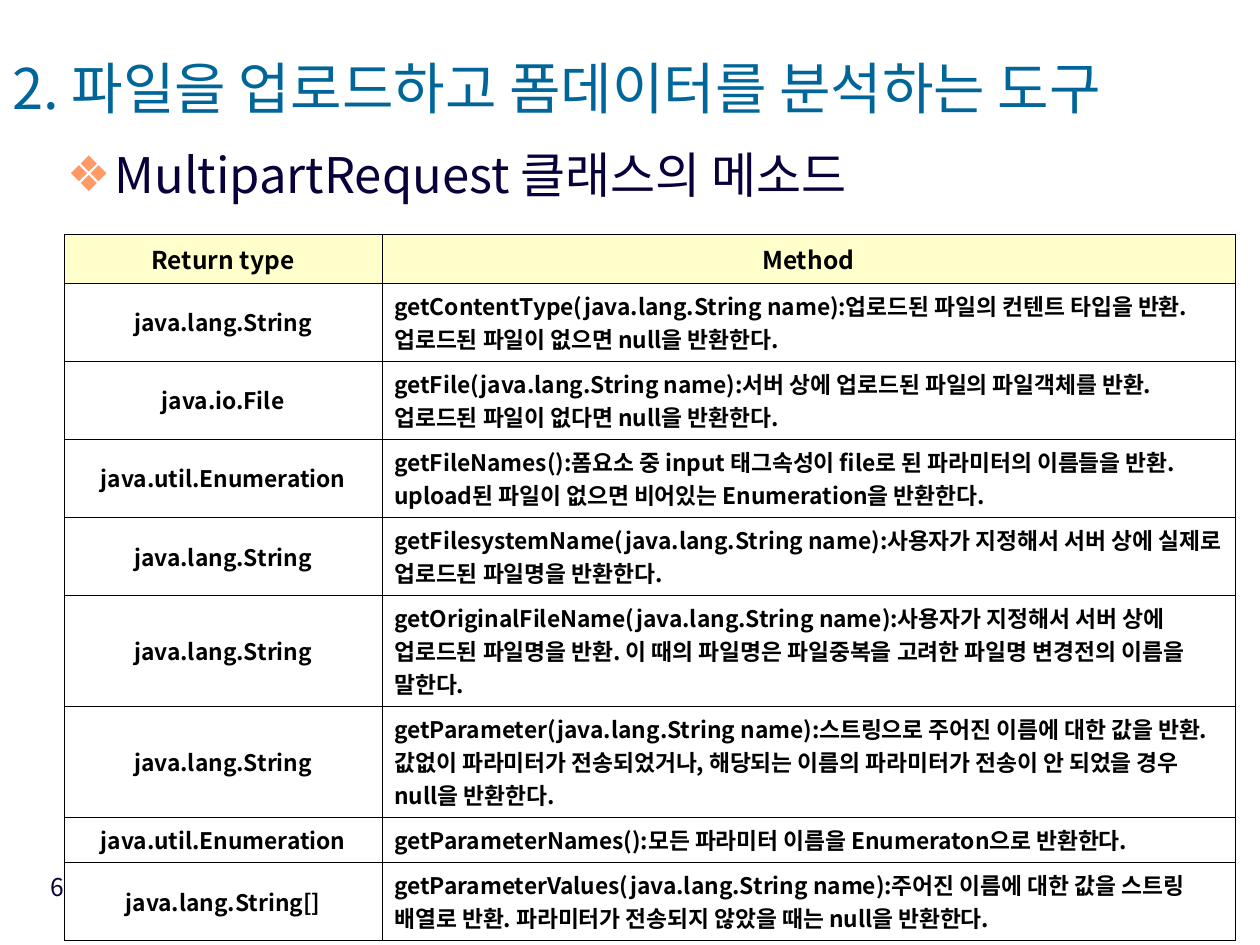
from lxml.etree import SubElement
from pptx import Presentation
from pptx.dml.color import RGBColor
from pptx.enum.text import MSO_ANCHOR, MSO_AUTO_SIZE, PP_ALIGN
from pptx.oxml.ns import qn
from pptx.util import Inches, Pt

FONT = "Noto Sans CJK KR"
COLORS = {
    "title": "006699", "text": "08003A", "bullet": "FF9966", "black": "000000",
    "name": "010000", "head": "FFFFCC", "white": "FFFFFF",
}
ARG = "(java.lang.String name):"
METHODS = [
    ("java.lang.String", "getContentType",
     ARG + "업로드된 파일의 컨텐트 타입을 반환. 업로드된 파일이 없으면 null을 반환한다."),
    ("java.io.File", "getFile",
     ARG + "서버 상에 업로드된 파일의 파일객체를 반환. 업로드된 파일이 없다면 null을 반환한다."),
    ("java.util.Enumeration", "getFileNames",
     "():폼요소 중 input 태그속성이 file로 된 파라미터의 이름들을 반환. "
     "upload된 파일이 없으면 비어있는 Enumeration을 반환한다."),
    ("java.lang.String", "getFilesystemName",
     ARG + "사용자가 지정해서 서버 상에 실제로 업로드된 파일명을 반환한다."),
    ("java.lang.String", "getOriginalFileName",
     ARG + "사용자가 지정해서 서버 상에 업로드된 파일명을 반환. "
     "이 때의 파일명은 파일중복을 고려한 파일명 변경전의 이름을 말한다."),
    ("java.lang.String", "getParameter",
     ARG + "스트링으로 주어진 이름에 대한 값을 반환. 값없이 파라미터가 전송되었거나, "
     "해당되는 이름의 파라미터가 전송이 안 되었을 경우 null을 반환한다."),
    ("java.util.Enumeration", "getParameterNames",
     "():모든 파라미터 이름을 Enumeraton으로 반환한다."),
    ("java.lang.String[]", "getParameterValues",
     ARG + "주어진 이름에 대한 값을 스트링 배열로 반환. "
     "파라미터가 전송되지 않았을 때는 null을 반환한다."),
]
WIDTHS = [2.52, 6.77]
HEIGHTS = [0.37, 0.62, 0.62, 0.62, 0.62, 0.88, 0.88, 0.36, 0.62]


def write(para, text, size=13, color="black", bold=False, align=PP_ALIGN.LEFT, line=None):
    para.alignment = align
    para.space_before = Pt(0)
    if line:
        para.line_spacing = line
    run = para.add_run()
    run.text = text
    font = run.font
    font.name, font.size, font.bold = FONT, Pt(size), bold
    font.color.rgb = RGBColor.from_string(COLORS[color])
    SubElement(font._element, qn("a:ea"), typeface=FONT)


def paint(props, color):
    fill = SubElement(props, qn("a:solidFill"))
    SubElement(fill, qn("a:srgbClr"), val=COLORS[color])


class Deck:
    def __init__(self):
        self.file = Presentation()
        self.file.slide_width, self.file.slide_height = Inches(10), Inches(7.5)
        self.slide = self.file.slides.add_slide(self.file.slide_layouts[1])

    def place(self, shape, box, anchor):
        shape.left, shape.top, shape.width, shape.height = map(Inches, box)
        frame = shape.text_frame
        frame.word_wrap = True
        frame.auto_size = MSO_AUTO_SIZE.NONE
        frame.vertical_anchor = anchor
        return frame.paragraphs[0]

    def title(self, text, box):
        para = self.place(self.slide.shapes.title, box, MSO_ANCHOR.MIDDLE)
        write(para, text, size=32, color="title", line=0.7)

    def body(self, text, box):
        para = self.place(self.slide.placeholders[1], box, MSO_ANCHOR.TOP)
        props = para._p.get_or_add_pPr()
        props.set("marL", str(Inches(0.38)))
        props.set("indent", str(-Inches(0.38)))
        tint = SubElement(props, qn("a:buClr"))
        SubElement(tint, qn("a:srgbClr"), val=COLORS["bullet"])
        SubElement(props, qn("a:buChar"), char="❖")
        write(para, text, size=28, color="text", line=0.9)

    def number(self, text, box):
        shape = self.slide.shapes.add_textbox(*map(Inches, box))
        para = self.place(shape, box, MSO_ANCHOR.TOP)
        write(para, text, size=14, color="text", align=PP_ALIGN.RIGHT)

    def cell(self, cell, fill):
        cell.vertical_anchor = MSO_ANCHOR.MIDDLE
        props = cell._tc.get_or_add_tcPr()
        for side in ("lnL", "lnR", "lnT", "lnB"):
            paint(SubElement(props, qn("a:" + side), w=str(Pt(0.06))), "black")
        cell.fill.solid()
        cell.fill.fore_color.rgb = RGBColor.from_string(COLORS[fill])
        return cell.text_frame.paragraphs[0]

    def table(self, heads, rows, left, top):
        size = Inches(sum(WIDTHS)), Inches(sum(HEIGHTS))
        grid = self.slide.shapes.add_table(
            len(HEIGHTS), len(WIDTHS), Inches(left), Inches(top), *size).table
        for col, width in zip(grid.columns, WIDTHS):
            col.width = Inches(width)
        for row, height in zip(grid.rows, HEIGHTS):
            row.height = Inches(height)
        for col, head in enumerate(heads):
            para = self.cell(grid.cell(0, col), "head")
            write(para, head, size=14, bold=True, align=PP_ALIGN.CENTER)
        for row, (kind, name, note) in enumerate(rows, 1):
            para = self.cell(grid.cell(row, 0), "white")
            write(para, kind, bold=True, align=PP_ALIGN.CENTER)
            para = self.cell(grid.cell(row, 1), "white")
            write(para, name, color="name", bold=True)
            write(para, note, bold=True)


def main():
    deck = Deck()
    deck.number("6", (0.14, 6.87, 0.47, 0.52))
    deck.title("2. 파일을 업로드하고 폼데이터를 분석하는 도구", (0, 0.28, 9.8, 0.95))
    deck.body("MultipartRequest 클래스의 메소드", (0.43, 1.15, 9.21, 0.55))
    deck.table(["Return type", "Method"], METHODS, 0.51, 1.86)
    deck.file.save("out.pptx")


if __name__ == "__main__":
    main()
